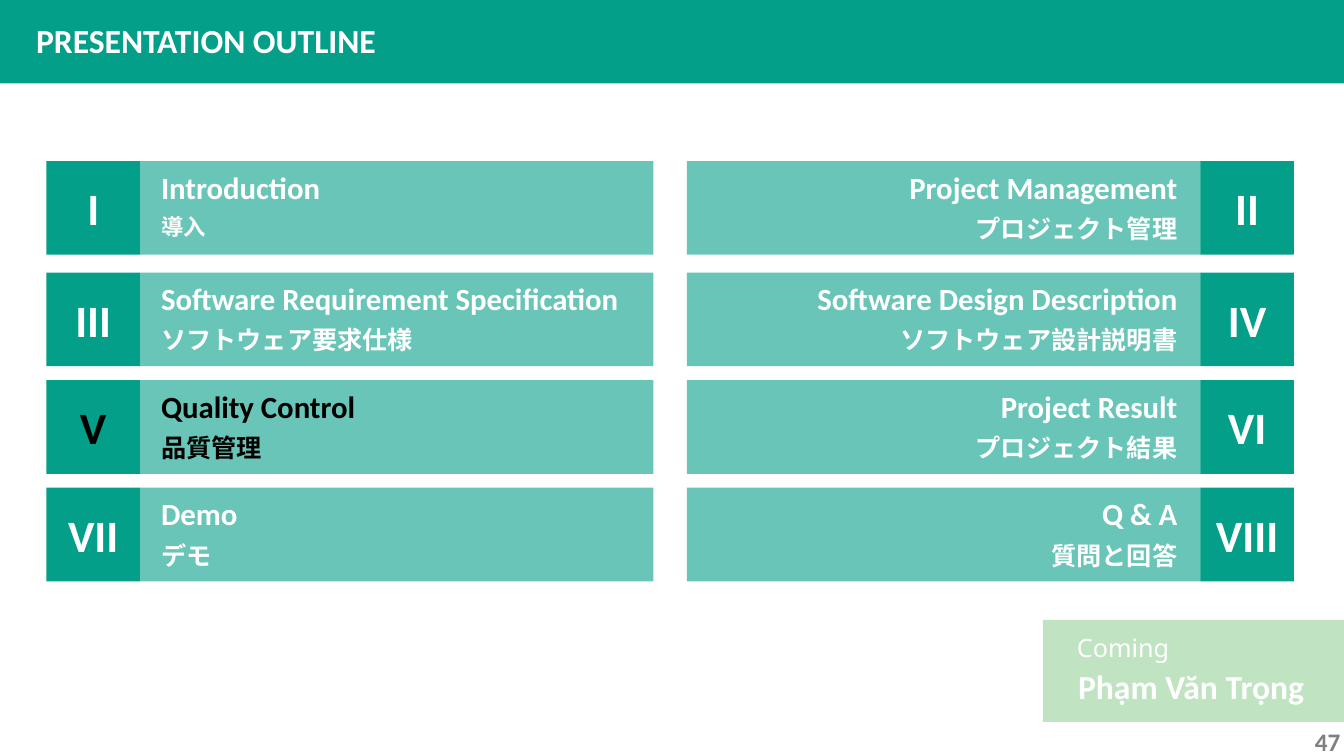
from lxml import etree
from pptx import Presentation
from pptx.dml.color import RGBColor
from pptx.enum.shapes import MSO_SHAPE
from pptx.enum.text import MSO_ANCHOR, PP_ALIGN
from pptx.oxml.ns import qn
from pptx.util import Cm, Pt

RECTANGLE = MSO_SHAPE.RECTANGLE
MIDDLE = MSO_ANCHOR.MIDDLE
LEFT, CENTER, RIGHT = PP_ALIGN.LEFT, PP_ALIGN.CENTER, PP_ALIGN.RIGHT

TEAL, GREEN, WHITE, BLACK, GRAY = "049F88", "4CAF50", "FFFFFF", "000000", "808080"
LATIN, JAPANESE, PLAIN = "Calibri", "Times New Roman", "Noto Sans"

ROW_TOPS = (4.06, 6.87, 9.58, 12.29)
ROW_HEIGHT = 2.36
PANEL_WIDTH = 12.95
LABEL_WIDTH = 12.45
# Per column: badge left, panel left, label left, label alignment
COLUMNS = ((1.17, 3.52, 3.81, LEFT), (30.25, 17.31, 17.47, RIGHT))

# Numeral, title, Japanese title, Japanese size, text colour
SECTIONS = (
    ("I", "Introduction", "導入", 16, WHITE),
    ("II", "Project Management", "プロジェクト管理", 18, WHITE),
    ("III", "Software Requirement Specification", "ソフトウェア要求仕様", 18, WHITE),
    ("IV", "Software Design Description", "ソフトウェア設計説明書", 18, WHITE),
    ("V", "Quality Control", "品質管理", 18, BLACK),
    ("VI", "Project Result", "プロジェクト結果", 18, WHITE),
    ("VII", "Demo", "デモ", 18, WHITE),
    ("VIII", "Q & A", "質問と回答", 18, WHITE),
)


def rgb(color):
    return RGBColor.from_string(color)


def add_block(slide, left, top, width, height, color, opacity=100):
    """Add a borderless rectangle; opacity is in percent."""
    block = slide.shapes.add_shape(RECTANGLE, Cm(left), Cm(top), Cm(width), Cm(height))
    block.shadow.inherit = False
    block.fill.solid()
    block.fill.fore_color.rgb = rgb(color)
    block.line.fill.background()
    if opacity < 100:
        fill_color = block.fill._xPr.find(qn("a:solidFill"))[0]
        etree.SubElement(fill_color, qn("a:alpha")).set("val", str(opacity * 1000))
    return block


def write(frame, text, size, color, font=LATIN, bold=True, align=LEFT):
    paragraph = frame.paragraphs[0]
    paragraph.alignment = align
    run = paragraph.add_run()
    run.text = text
    run.font.name = font
    run.font.size = Pt(size)
    run.font.bold = bold
    run.font.color.rgb = rgb(color)


def add_label(slide, left, top, width, height, text, size, color, **style):
    label = slide.shapes.add_textbox(Cm(left), Cm(top), Cm(width), Cm(height))
    label.text_frame.word_wrap = True
    write(label.text_frame, text, size, color, **style)


def add_section(slide, column, top, section):
    badge_left, panel_left, label_left, align = column
    numeral, title, japanese, japanese_size, color = section

    badge = add_block(slide, badge_left, top, ROW_HEIGHT, ROW_HEIGHT, TEAL)
    badge.text_frame.word_wrap = False
    badge.text_frame.vertical_anchor = MIDDLE
    write(badge.text_frame, numeral, 32, color, align=CENTER)

    add_block(slide, panel_left, top, PANEL_WIDTH, ROW_HEIGHT, TEAL, opacity=60)
    add_label(slide, label_left, top + 0.06, LABEL_WIDTH, 1.19,
              title, 22, color, align=align)
    add_label(slide, label_left, top + 1.19, LABEL_WIDTH, 1.02,
              japanese, japanese_size, color, font=JAPANESE, align=align)


def add_header(slide):
    add_block(slide, 0, 0, 33.87, 2.1, TEAL)
    add_label(slide, 0.66, 0.37, 12, 1.28, "PRESENTATION OUTLINE", 24, WHITE)


def add_presenter(slide):
    add_block(slide, 26.28, 15.62, 7.59, 2.57, GREEN, opacity=35)
    add_label(slide, 26.89, 15.82, 4, 1.02, "Coming", 18, WHITE, font=PLAIN, bold=False)
    add_label(slide, 26.92, 16.66, 6.9, 1.28, "Phạm Văn Trọng", 24, WHITE)


def main():
    deck = Presentation()
    deck.slide_width, deck.slide_height = Cm(33.87), Cm(19.05)
    slide = deck.slides.add_slide(deck.slide_layouts[6])

    for index, section in enumerate(SECTIONS):
        row, side = divmod(index, len(COLUMNS))
        add_section(slide, COLUMNS[side], ROW_TOPS[row], section)
    add_header(slide)
    add_presenter(slide)
    add_label(slide, 32.89, 18.19, 1.17, 1.02, "47", 18, GRAY)

    deck.save("out.pptx")


if __name__ == "__main__":
    main()
